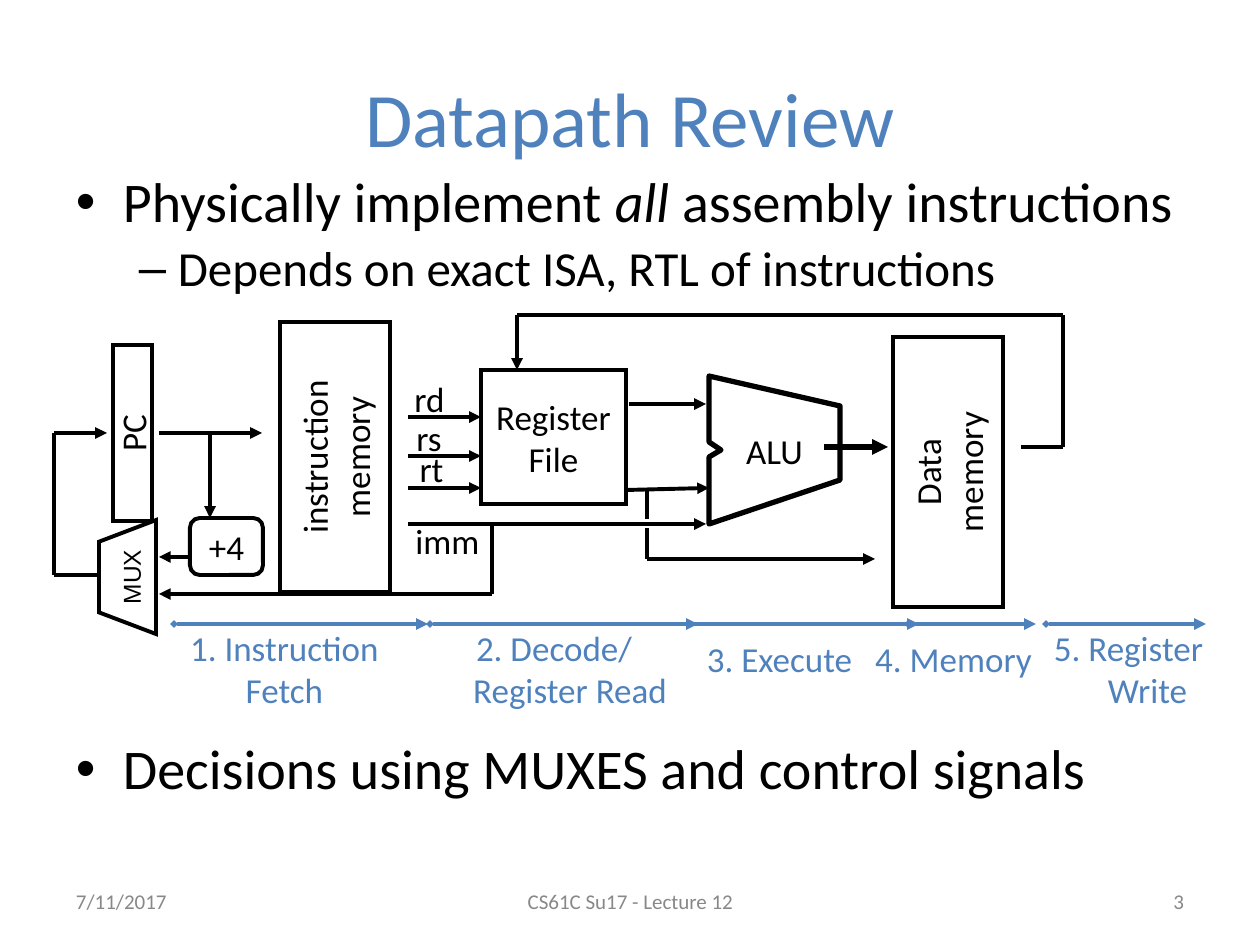
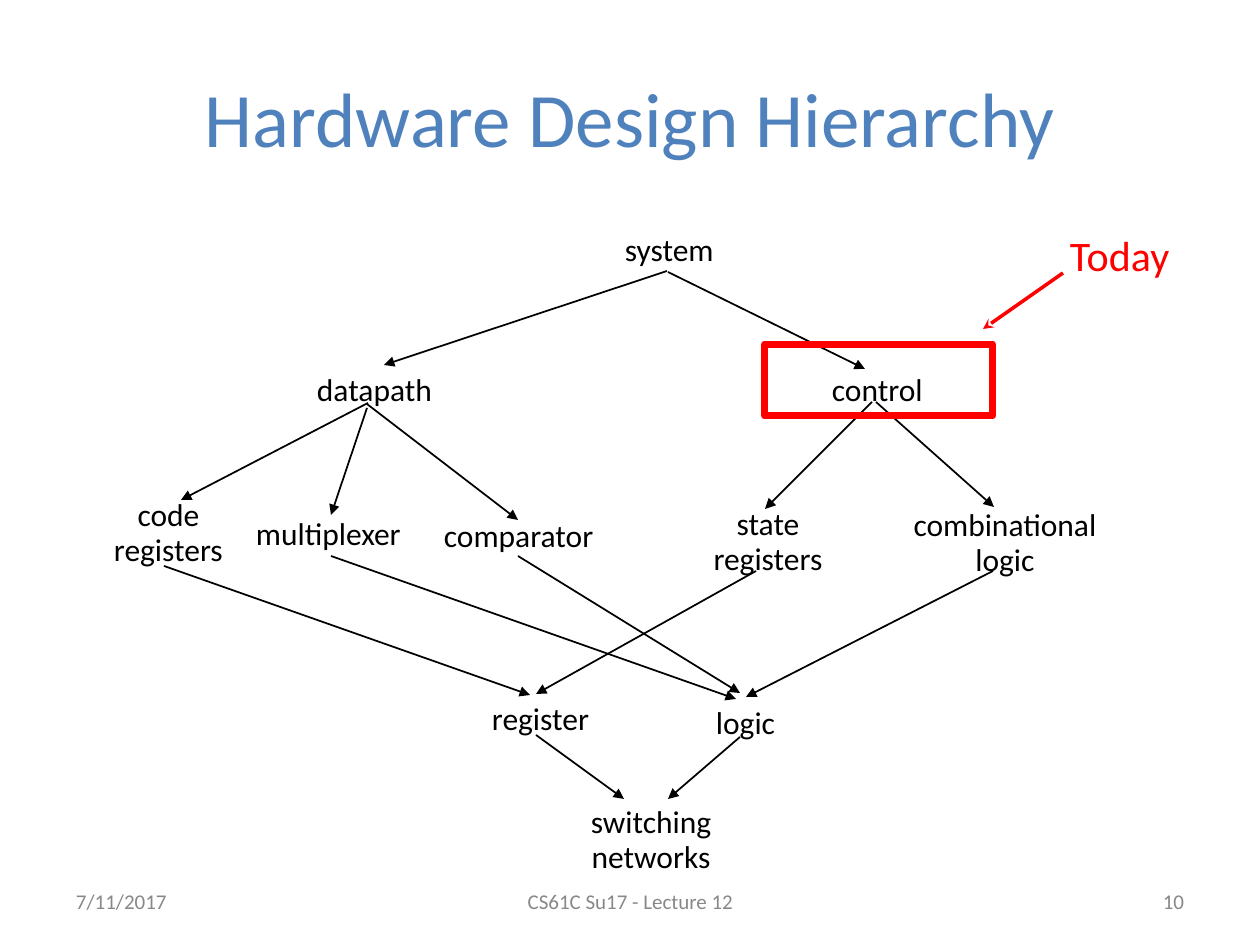
from itertools import pairwise

from lxml.etree import SubElement
from pptx import Presentation
from pptx.dml.color import RGBColor
from pptx.enum.shapes import MSO_CONNECTOR as Link, MSO_SHAPE as Shape
from pptx.enum.text import MSO_ANCHOR as Anchor, PP_ALIGN as Align
from pptx.oxml.ns import qn
from pptx.util import Pt

EMU_PER_PX = 914400 / 126
BLACK, WHITE, BLUE, RED, GREY = "000000", "FFFFFF", "4F81BD", "FF0000", "888888"
LEFT, CENTER, RIGHT = Align.LEFT, Align.CENTER, Align.RIGHT
DATE, COURSE = "7/11/2017", "CS61C Su17 - Lecture 12"
# Point size, bullet, and (margin, hanging indent) of each body level
LEVELS = ((32, "•", (47, 47)), (28, "–", (102, 39)))


def emu(px):
    return round(px * EMU_PER_PX)


def rgb(value):
    return RGBColor.from_string(value)


def write(frame, text, size=20, color=BLACK, font="Calibri", align=CENTER,
          anchor=Anchor.MIDDLE, wrap=True, inset=(13, 6), spacing=None,
          before=0, levels=None, indents=None):
    """Newlines split paragraphs, \\v breaks a line, *stars* mark italics.

    levels and indents hold one entry per paragraph.
    """
    frame.word_wrap = wrap
    frame.vertical_anchor = anchor
    frame.margin_left = frame.margin_right = emu(inset[0])
    frame.margin_top = frame.margin_bottom = emu(inset[1])
    for number, content in enumerate(text.split("\n")):
        paragraph = frame.add_paragraph() if number else frame.paragraphs[0]
        paragraph.alignment = align
        if spacing:
            paragraph.line_spacing = spacing
        if number and before:
            paragraph.space_before = Pt(before)
        properties = paragraph._p.get_or_add_pPr()
        indent = indents[number] if indents else None
        if levels:
            paragraph.level = number
            size, bullet, indent = levels[number]
            bullet_color = SubElement(properties, qn("a:buClr"))
            SubElement(bullet_color, qn("a:srgbClr"), val=color)
            SubElement(properties, qn("a:buFont"), typeface="Arial")
            SubElement(properties, qn("a:buChar"), char=bullet)
        if indent:
            properties.set("marL", str(emu(indent[0])))
            properties.set("indent", str(emu(-indent[1])))
        for row, part in enumerate(content.split("\v")):
            if row:
                paragraph.add_line_break()
            for index, piece in enumerate(part.split("*")):
                run = paragraph.add_run()
                run.text = piece
                run.font.name = font
                run.font.size = Pt(size)
                run.font.color.rgb = rgb(color)
                if index % 2:
                    run.font.italic = True


class Deck:
    """House style plus the slide being drawn."""

    def __init__(self):
        self.presentation = Presentation()
        self.presentation.slide_width = emu(1260)
        self.presentation.slide_height = emu(945)
        self.shapes = None

    def new_slide(self, title, number):
        layout = self.presentation.slide_layouts[6]
        self.shapes = self.presentation.slides.add_slide(layout).shapes
        self.text((63, 38, 1134, 158), title, size=44, color=BLUE)
        for left, width, footer, align in ((63, 294, DATE, LEFT),
                                           (431, 399, COURSE, CENTER),
                                           (903, 294, number, RIGHT)):
            self.text((left, 876, width, 50), footer, size=12, color=GREY,
                      align=align)

    def text(self, area, text, **style):
        box = self.shapes.add_textbox(*map(emu, area))
        write(box.text_frame, text, **style)

    def body(self, area, text):
        self.text(area, text, align=LEFT, anchor=Anchor.TOP, spacing=0.9,
                  before=5.6, levels=LEVELS)

    def stroke(self, line, color, weight, rounded=True, head=None, tail=None):
        line.color.rgb = rgb(color)
        line.width = Pt(weight)
        outline = line._get_or_add_ln()
        if rounded:
            SubElement(outline, qn("a:round"))
        else:
            SubElement(outline, qn("a:miter"), lim="800000")
        if head:
            SubElement(outline, qn("a:headEnd"), type=head, w="sm", len="sm")
        if tail:
            SubElement(outline, qn("a:tailEnd"), type=tail)

    def finish(self, shape, label, fill, color, weight, rounded, **style):
        shape.shadow.inherit = False
        if fill:
            shape.fill.solid()
            shape.fill.fore_color.rgb = rgb(fill)
        else:
            shape.fill.background()
        self.stroke(shape.line, color, weight, rounded)
        if label:
            write(shape.text_frame, label, **style)

    def box(self, area, label="", kind=Shape.RECTANGLE, fill=WHITE, color=BLACK,
            weight=2.25, rounded=False, adjust=None, upright=False, **style):
        """area is what shows; upright turns the shape so text reads upwards."""
        left, top, width, height = area
        if upright:
            left += (width - height) / 2
            top += (height - width) / 2
            width, height = height, width
        shape = self.shapes.add_shape(kind, *map(emu, (left, top, width, height)))
        if upright:
            shape.rotation = 270
        if adjust:
            shape.adjustments[0] = adjust
        self.finish(shape, label, fill, color, weight, rounded, **style)

    def outline(self, points, label, weight):
        builder = self.shapes.build_freeform(*map(emu, points[0]), scale=1.0)
        builder.add_line_segments([tuple(map(emu, p)) for p in points[1:]])
        self.finish(builder.convert_to_shape(), label, None, BLACK, weight, True)

    def wire(self, *points, color=BLACK, weight=2.25, head=None, tail="triangle"):
        """Straight connectors through the points, with the arrow on the last."""
        for start, end in pairwise(points):
            link = self.shapes.add_connector(Link.STRAIGHT, *map(emu, start + end))
            SubElement(link._element.spPr, qn("a:effectLst"))
            self.stroke(link.line, color, weight, head=head,
                        tail=tail if end == points[-1] else None)


def datapath_review(deck):
    deck.new_slide("Datapath Review", "3")
    deck.body((63, 168, 1134, 189),
              "Physically implement *all* assembly instructions\n"
              "Depends on exact ISA, RTL of instructions")
    deck.body((63, 735, 1134, 158), "Decisions using MUXES and control signals")

    stages = (
        ("1. Instruction\nFetch", 157, 636, 255, 0, 174, 428),
        ("2. Decode/\nRegister Read", 420, 636, 268, 32, 430, 698),
        ("3. Execute", 688, 626, 183, 0, 689, 919),
        ("4. Memory", 838, 626, 231, 0, 908, 1036),
        ("5. Register\nWrite", 1032, 636, 193, 38, 1046, 1206),
    )
    for label, left, top, width, shift, start, end in stages:
        deck.text((left, top, width, 66), label, color=BLUE,
                  indents=[(0, 0), (shift, 0)])
        deck.wire((start, 624), (end, 624), color=BLUE, head="diamond")

    deck.box((113, 345, 39, 176), "PC", fill=None, upright=True)
    deck.box((280, 322, 110, 270), "instruction\nmemory", upright=True)
    deck.box((190, 518, 73, 57), "+4", kind=Shape.ROUNDED_RECTANGLE, adjust=0.17)
    deck.box((481, 370, 145, 134), "Register\nFile")
    deck.box((893, 337, 110, 270), "Data\nmemory", upright=True)
    deck.outline([(709, 376), (840, 406), (840, 480), (709, 524), (709, 457),
                  (721, 450), (709, 442), (709, 376)], "ALU", weight=3)

    for y in (417, 456, 488):
        deck.wire((408, y), (481, y))
    for field, left, top, width in (("rd", 402, 377, 55), ("rs", 402, 416, 54),
                                    ("rt", 403, 447, 57), ("imm", 402, 519, 91)):
        deck.text((left, top, width, 42), field, inset=(0, 6))

    deck.wire((159, 433), (262, 433))
    deck.wire((210, 433), (210, 518))
    deck.wire((190, 557), (159, 557))
    deck.wire((629, 404), (706, 404))
    deck.wire((627, 490), (709, 488))
    deck.wire((408, 524), (706, 524))
    deck.wire((824, 447), (888, 447), weight=3)
    deck.wire((647, 488), (647, 519), tail=None)
    deck.wire((647, 528), (647, 559), (875, 559))
    deck.wire((1021, 447), (1063, 447), (1063, 315), (517, 315), (517, 370))
    deck.wire((492, 524), (492, 594), (159, 594))
    deck.wire((107, 575), (54, 575), (54, 433), (107, 433))
    deck.box((99, 520, 57, 114), "MUX", kind=Shape.TRAPEZOID, adjust=0.38,
             upright=True, size=14, font="Arial", inset=(0, 13))


def design_hierarchy(deck):
    deck.new_slide("Hardware Design Hierarchy", "10")
    parts = (
        ("system", 622, 229, 141, LEFT), ("datapath", 314, 369, 168, LEFT),
        ("control", 829, 369, 140, LEFT), ("state\vregisters", 663, 503, 210, CENTER),
        ("combinational\vlogic", 856, 504, 298, CENTER),
        ("multiplexer", 253, 513, 188, LEFT), ("comparator", 441, 515, 192, LEFT),
        ("code\vregisters", 105, 494, 127, CENTER), ("register", 489, 698, 147, LEFT),
        ("logic", 713, 702, 116, LEFT), ("switching\vnetworks", 523, 801, 256, CENTER),
    )
    for part, left, top, width, align in parts:
        deck.text((left, top, width, 76 if "\v" in part else 47), part, size=18,
                  align=align, anchor=Anchor.TOP, inset=(3, 4), spacing=0.94)

    branches = (
        ((668, 272), (865, 369)), ((667, 271), (384, 365)),
        ((367, 408), (331, 515)), ((367, 404), (518, 520)),
        ((368, 403), (181, 500)), ((164, 566), (530, 695)),
        ((756, 571), (536, 694)), ((872, 402), (765, 509)),
        ((876, 402), (994, 507)), ((518, 556), (740, 693)),
        ((331, 556), (736, 699)), ((993, 571), (746, 697)),
        ((740, 737), (668, 799)), ((536, 735), (624, 799)),
    )
    for start, end in branches:
        deck.wire(start, end, weight=1)

    deck.box((765, 344, 228, 72), fill=None, color=RED, weight=4, rounded=True)
    deck.text((1057, 224, 140, 63), "Today", size=24, color=RED, align=LEFT,
              anchor=Anchor.TOP)
    deck.wire((1063, 273), (983, 329), color=RED, weight=2, tail="stealth")


def main():
    deck = Deck()
    datapath_review(deck)
    design_hierarchy(deck)
    deck.presentation.save("out.pptx")


if __name__ == "__main__":
    main()
